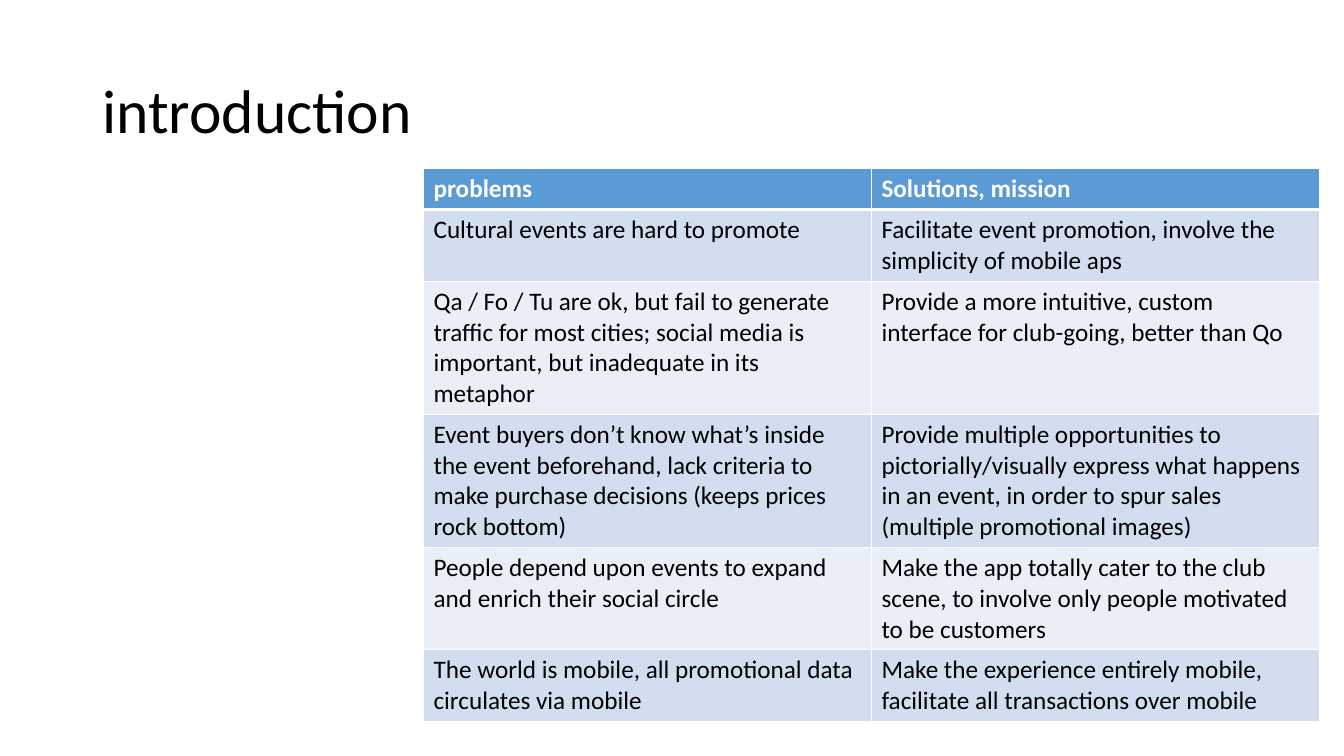
"""Build the introduction slide with its table of problems and solutions."""
from dataclasses import dataclass

from lxml import etree
from pptx import Presentation
from pptx import util as u
from pptx.dml import color
from pptx.enum import text
from pptx.oxml import ns


@dataclass(frozen=True)
class Theme:
    """Hold the colours and type sizes of the slide."""
    font: str = "Calibri"
    ink: str = "000000"
    paper: str = "FFFFFF"
    header: str = "5B9BD5"
    bands: tuple = ("D2DEEF", "EAEFF7")
    title_size: int = 44
    body_size: int = 18
    line_height: float = 21.6
    cell_padding: float = 7.2
    border: int = 1
    header_border: int = 3


class SlideBuilder:
    """Draw styled elements on the current slide."""

    def __init__(self, presentation, theme):
        """Add a title-only slide and keep its style."""
        self.theme = theme
        self.slide = presentation.slides.add_slide(presentation.slide_layouts[5])

    def apply(self, target, values):
        """Set every attribute named in a dict."""
        for name, value in values.items():
            setattr(target, name, value)

    def add_words(self, paragraph, words, size, ink, bold=False):
        """Add one styled run."""
        run = paragraph.add_run()
        run.text = words
        self.apply(run.font, {"name": self.theme.font, "size": u.Pt(size), "bold": bold})
        run.font.color.rgb = color.RGBColor.from_string(ink)

    def title(self, words, left, top, width, height):
        """Place and fill the title placeholder."""
        shape = self.slide.shapes.title
        self.apply(shape, {"left": u.Pt(left), "top": u.Pt(top),
                           "width": u.Pt(width), "height": u.Pt(height)})
        self.apply(shape.text_frame, {"word_wrap": True,
                                      "auto_size": text.MSO_AUTO_SIZE.NONE,
                                      "vertical_anchor": text.MSO_ANCHOR.MIDDLE})
        paragraph = shape.text_frame.paragraphs[0]
        self.apply(paragraph, {"alignment": text.PP_ALIGN.LEFT, "line_spacing": 0.9})
        self.add_words(paragraph, words, self.theme.title_size, self.theme.ink)

    def borders(self, cell, widths):
        """Draw the cell's sides in the paper colour."""
        properties = cell._tc.get_or_add_tcPr()
        for side, width in widths.items():
            line = etree.SubElement(properties, ns.qn(f"a:ln{side}"), w=str(u.Pt(width)))
            fill = etree.SubElement(line, ns.qn("a:solidFill"))
            etree.SubElement(fill, ns.qn("a:srgbClr"), val=self.theme.paper)

    def cell(self, cell, words, row):
        """Fill one cell as a header or a banded body cell."""
        theme = self.theme
        is_header = row == 0
        widths = dict.fromkeys("LRTB", theme.border)
        if row < 2:
            widths["B" if is_header else "T"] = theme.header_border
        self.borders(cell, widths)
        cell.fill.solid()
        fill = theme.header if is_header else theme.bands[(row - 1) % 2]
        cell.fill.fore_color.rgb = color.RGBColor.from_string(fill)
        self.add_words(cell.text_frame.paragraphs[0], words, theme.body_size,
                       theme.paper if is_header else theme.ink, is_header)

    def table(self, rows, line_counts, left, top, width):
        """Add a table whose rows fit their line counts."""
        heights = [self.theme.cell_padding + self.theme.line_height * count
                   for count in line_counts]
        table = self.slide.shapes.add_table(
            len(rows), len(rows[0]), u.Pt(left), u.Pt(top),
            u.Pt(width), u.Pt(sum(heights))).table
        for row, (words, height) in enumerate(zip(rows, heights)):
            table.rows[row].height = u.Pt(height)
            for column, entry in enumerate(words):
                self.cell(table.cell(row, column), entry, row)


ROWS = [
    ("problems", "Solutions, mission"),
    ("Cultural events are hard to promote",
     "Facilitate event promotion, involve the simplicity of mobile aps"),
    ("Qa / Fo / Tu are ok, but fail to generate traffic for most cities; "
     "social media is important, but inadequate in its metaphor",
     "Provide a more intuitive, custom interface for club-going, better than Qo"),
    ("Event buyers don’t know what’s inside the event beforehand, lack criteria "
     "to make purchase decisions (keeps prices rock bottom)",
     "Provide multiple opportunities to pictorially/visually express what happens "
     "in an event, in order to spur sales (multiple promotional images)"),
    ("People depend upon events to expand and enrich their social circle",
     "Make the app totally cater to the club scene, to involve only people "
     "motivated to be customers"),
    ("The world is mobile, all promotional data circulates via mobile",
     "Make the experience entirely mobile, facilitate all transactions over mobile"),
]
LINE_COUNTS = (1, 2, 4, 4, 3, 2)


def main():
    """Build and save the presentation."""
    presentation = Presentation()
    presentation.slide_width = u.Pt(960)
    presentation.slide_height = u.Pt(540)
    builder = SlideBuilder(presentation, Theme())
    builder.title("introduction", 66, 28.75, 828, 104.4)
    builder.table(ROWS, LINE_COUNTS, 302.5, 120.5, 640)
    presentation.save("out.pptx")


if __name__ == "__main__":
    main()
